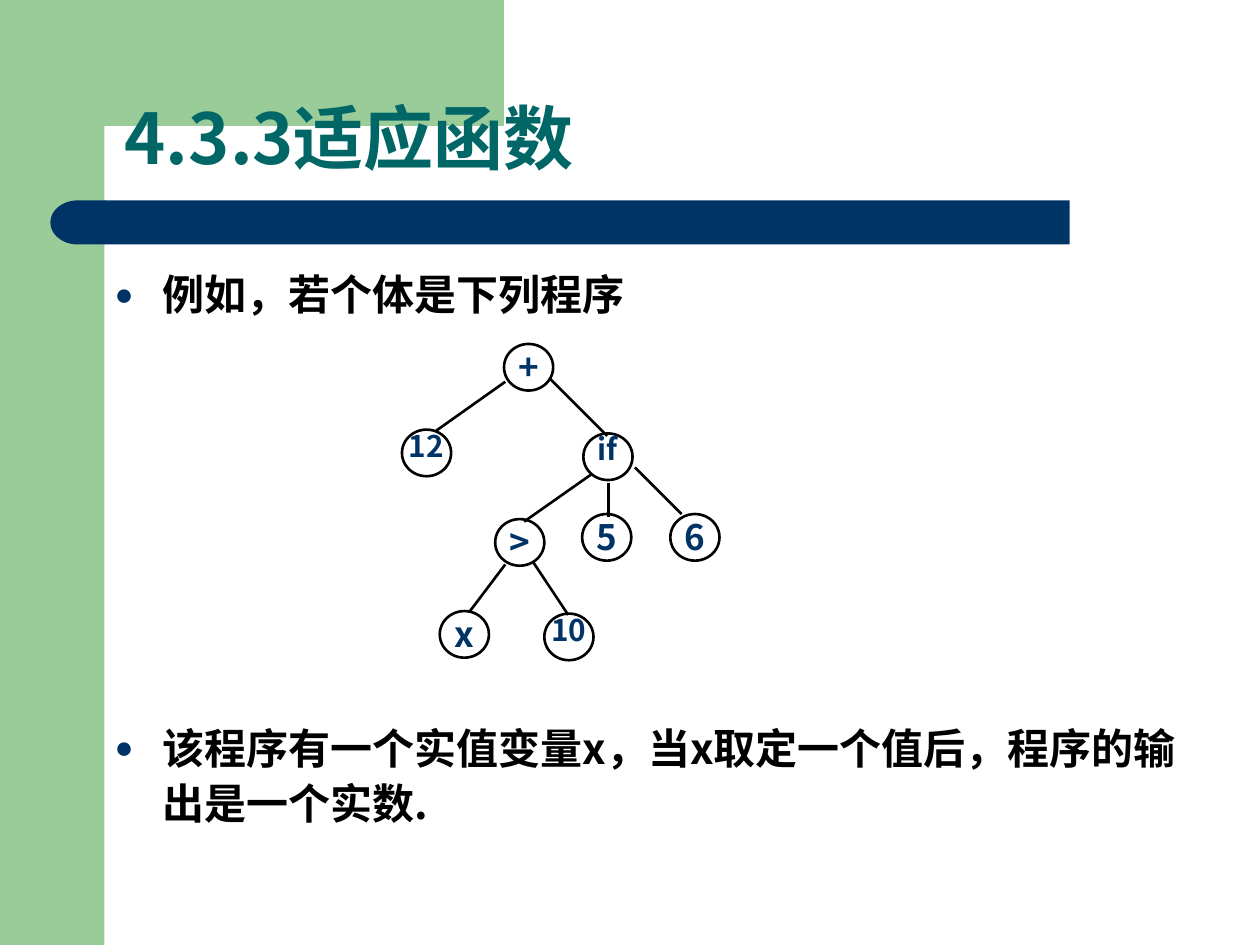
import math
import pptx
import pptx.util
import pptx.dml.color
import pptx.enum.shapes
import pptx.enum.text
import pptx.oxml
import pptx.oxml.ns
import lxml.etree

Inches, Pt = pptx.util.Inches, pptx.util.Pt
MSO = pptx.enum.shapes.MSO_SHAPE
ALIGN = pptx.enum.text.PP_ALIGN
ANCHOR = pptx.enum.text.MSO_ANCHOR
qn = pptx.oxml.ns.qn
FONT = "Noto Sans CJK SC"
GREEN, NAVY, TEAL, BLACK, WHITE = "99CC99", "003366", "006666", "000000", "FFFFFF"


def rgb(c):
    return pptx.dml.color.RGBColor.from_string(c)


def write(p, text, size, color, **fmt):
    for k, v in fmt.items():
        setattr(p, k, v)
    r = p.add_run()
    r.text = text
    for k, v in {"name": FONT, "size": Pt(size), "bold": True}.items():
        setattr(r.font, k, v)
    r.font.color.rgb = rgb(color)
    lxml.etree.SubElement(r.font._element, qn("a:ea"), typeface=FONT)


prs = pptx.Presentation()
prs.slide_width, prs.slide_height = Inches(10), Inches(7.5)
s = prs.slides.add_slide(prs.slide_layouts[1])
title, body = s.placeholders

cx, cy, radius = 1.16, 1.16, 0.33
arc = [(cx - radius * math.sin(a), cy - radius * math.cos(a))
       for a in (math.radians(d) for d in range(0, 91, 5))]
outline = [(3.5, 0), (3.5, 0.83)] + arc + [(0.83, 1.28), (0.5, 1.28), (0.5, 0)]
fb = s.shapes.build_freeform(*outline[0], scale=Inches(1))
fb.add_line_segments(outline[1:], close=True)
decor = [(fb.convert_to_shape(), GREEN)]
for kind, box, color in [
    (MSO.RECTANGLE, (0, 0, 0.83, 7.5), GREEN),
    (MSO.RECTANGLE, (0.82, 1.59, 7.67, 0.35), NAVY),
    (MSO.FLOWCHART_DELAY, (0.4, 1.59, 0.43, 0.35), NAVY),
]:
    decor.append((s.shapes.add_shape(kind, *map(Inches, box)), color))
sp.rotation = 180 if (sp := decor[-1][0]) else 0
for sp, color in decor:
    sp.shadow.inherit = False
    sp.fill.solid()
    sp.fill.fore_color.rgb = rgb(color)
    sp.line.fill.background()

for sp, box, anchor in [
    (title, (0.89, 0.35, 8.54, 1.13), ANCHOR.BOTTOM),
    (body, (0.81, 2.13, 8.76, 4.77), ANCHOR.TOP),
]:
    s.shapes.element.append(sp.element)
    for k, v in zip(("left", "top", "width", "height"), box):
        setattr(sp, k, Inches(v))
    tf = sp.text_frame
    for k, v in {"word_wrap": True, "vertical_anchor": anchor,
                 "auto_size": pptx.enum.text.MSO_AUTO_SIZE.NONE}.items():
        setattr(tf, k, v)

write(title.text_frame.paragraphs[0], "4.3.3适应函数", 40, TEAL,
      alignment=ALIGN.LEFT, line_spacing=0.9)

tf = body.text_frame
for i, (text, spacing, before) in enumerate([
    ("例如，若个体是下列程序", 0.9, 6),
    ("该程序有一个实值变量x，当x取定一个值后，程序的输出是一个实数.", 1.1, 227),
]):
    p = tf.add_paragraph() if i else tf.paragraphs[0]
    write(p, text, 24, BLACK, line_spacing=spacing, space_before=Pt(before))
    pPr = p._p.get_or_add_pPr()
    pPr.set("marL", str(Inches(0.38)))
    pPr.set("indent", str(Inches(-0.38)))
    clr = lxml.etree.SubElement(pPr, qn("a:buClr"))
    lxml.etree.SubElement(clr, qn("a:srgbClr"), val=NAVY)
    lxml.etree.SubElement(pPr, qn("a:buSzPct"), val="75000")
    lxml.etree.SubElement(pPr, qn("a:buFont"), typeface="Arial")
    lxml.etree.SubElement(pPr, qn("a:buChar"), char="●")

tree = s.shapes.add_group_shape().shapes
for text, x, y in [
    ("+", 4, 2.73), ("12", 3.19, 3.41), ("if", 4.63, 3.44), (">", 3.93, 4.12),
    ("5", 4.62, 4.08), ("6", 5.32, 4.08), ("x", 3.49, 4.85), ("10", 4.32, 4.87),
]:
    sp = tree.add_shape(MSO.OVAL, Inches(x), Inches(y), Inches(0.39), Inches(0.37))
    sp.shadow.inherit = False
    sp.fill.solid()
    sp.fill.fore_color.rgb = rgb(WHITE)
    sp.line.color.rgb = rgb(BLACK)
    sp.line.width = Pt(1.5)
    tb = tree.add_textbox(Inches(x + 0.05), Inches(y + 0.015), Inches(0.29), Inches(0.34))
    tf = tb.text_frame
    for k, v in {"word_wrap": True, "margin_left": 0, "margin_right": 0,
                 "margin_top": 0, "margin_bottom": 0}.items():
        setattr(tf, k, v)
    size, spacing = (17, 0.9) if len(text) > 1 else (20, 1.0)
    write(tf.paragraphs[0], text, size, NAVY, alignment=ALIGN.CENTER, line_spacing=spacing)

for ends in [
    (4.01, 3.03, 3.46, 3.42), (4.36, 3, 4.82, 3.46), (4.7, 3.76, 4.16, 4.14),
    (4.83, 3.83, 4.83, 4.1), (5.04, 3.71, 5.41, 4.08),
    (4.01, 4.48, 3.73, 4.85), (4.23, 4.46, 4.51, 4.88),
]:
    c = tree.add_connector(pptx.enum.shapes.MSO_CONNECTOR.STRAIGHT, *map(Inches, ends))
    c.line.color.rgb = rgb(BLACK)
    c.line.width = Pt(1.5)
    lxml.etree.SubElement(c._element.spPr, qn("a:effectLst"))

prs.save("out.pptx")
